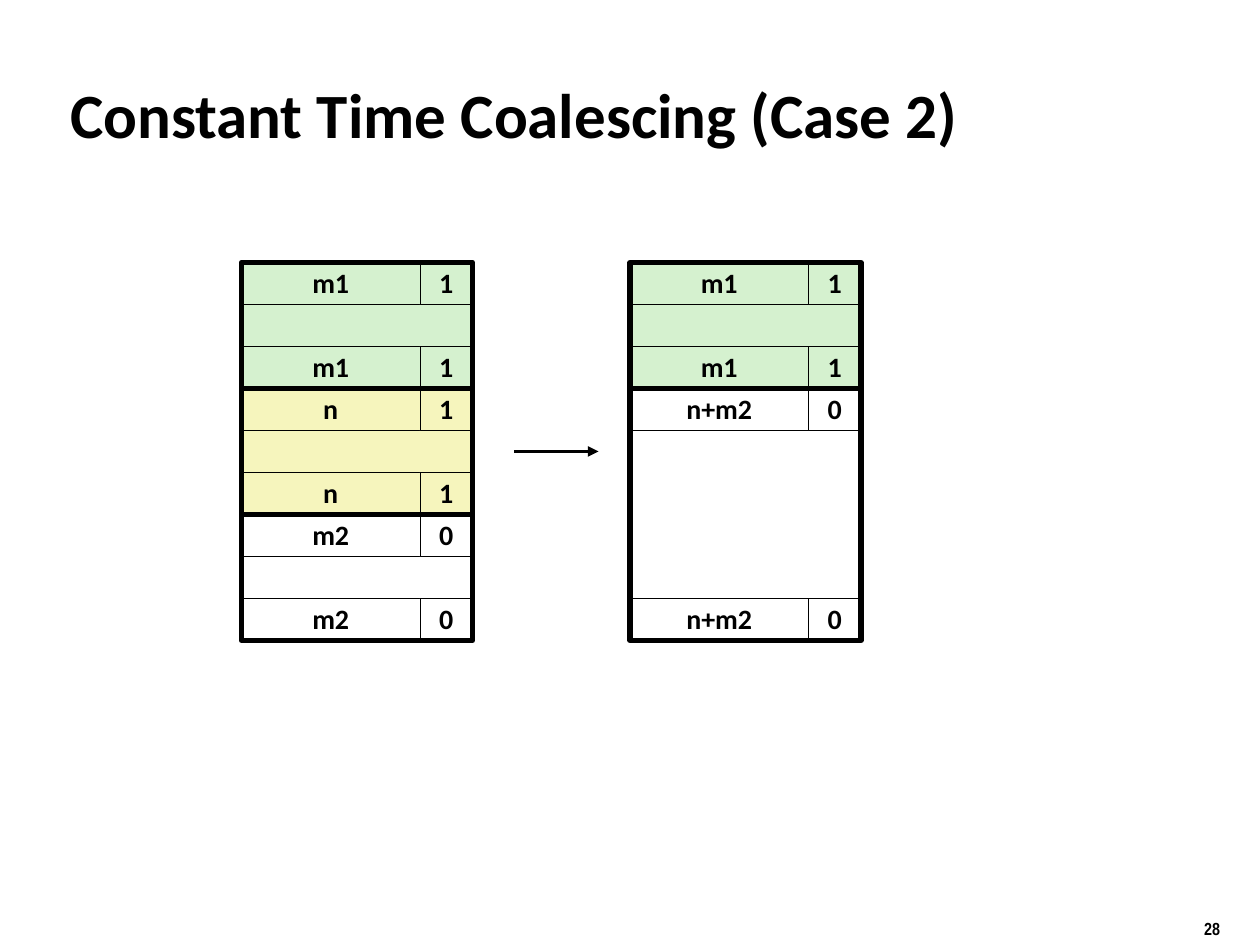
from dataclasses import dataclass

from lxml.etree import SubElement
from pptx import Presentation
from pptx.dml.color import RGBColor
from pptx.enum.shapes import MSO_CONNECTOR as Connector, MSO_SHAPE as Shape
from pptx.enum.text import MSO_ANCHOR as Anchor, PP_ALIGN as Align
from pptx.oxml.ns import qn
from pptx.util import Emu, Pt

EMU_PER_PX = 7620
ROW, LABEL_WIDTH, FLAG_WIDTH = 40, 170, 50
BLOCK_WIDTH = LABEL_WIDTH + FLAG_WIDTH + 0
BLACK, WHITE, GREEN, YELLOW = "000000", "FFFFFF", "D5F1CF", "F6F5BD"
TITLE_FONT = {"name": "Calibri", "size": Pt(36), "bold": True}
CELL_FONT = {"name": "Calibri", "size": Pt(16), "bold": True}
NUMBER_FONT = {"name": "Arial Narrow", "size": Pt(10), "bold": True}


@dataclass(frozen=True)
class Area:
    """A rectangle in px."""
    left: int
    top: int
    width: int
    height: int


@dataclass(frozen=True)
class Block:
    """A memory block with a header, a body and a footer."""
    label: str
    flag: str
    fill: str
    body_rows: int = 1


def px(length: int) -> Emu:
    """Turn px into EMU."""
    return Emu(length * EMU_PER_PX)


def place(area: Area) -> tuple[Emu, ...]:
    """Give the position and size of an area in EMU."""
    return tuple(px(n) for n in (area.left, area.top, area.width, area.height))


def color(value: str) -> RGBColor:
    """Read a hex colour."""
    return RGBColor.from_string(value)


def write(box, text: str, font: dict, frame_format: dict, para_format: dict) -> None:
    """Put one formatted span of text in a box."""
    frame = box.text_frame
    para = frame.paragraphs[0]
    span = para.add_run()
    span.text = text
    span.font.color.rgb = color(BLACK)
    for target, values in ((frame, frame_format), (para, para_format), (span.font, font)):
        for name, value in values.items():
            setattr(target, name, value)


def add_box(page, area: Area, fill: str | None, line_width: float):
    """Draw a rectangle with a black line."""
    box = page.shapes.add_shape(Shape.RECTANGLE, *place(area))
    box.shadow.inherit = False
    if fill is None:
        box.fill.background()
    else:
        box.fill.solid()
        box.fill.fore_color.rgb = color(fill)
    box.line.color.rgb = color(BLACK)
    box.line.width = Pt(line_width)
    return box


def add_cell(page, area: Area, fill: str, text: str) -> None:
    """Draw a thin-lined cell with centred text."""
    write(add_box(page, area, fill, 0.25), text, CELL_FONT,
          {"word_wrap": False, "vertical_anchor": Anchor.MIDDLE},
          {"alignment": Align.CENTER, "line_spacing": 0.98})


def add_block(page, block: Block, left: int, top: int) -> int:
    """Draw a block and return its bottom edge."""
    width = LABEL_WIDTH + FLAG_WIDTH
    body_height = block.body_rows * ROW
    footer_top = top + ROW + body_height
    add_box(page, Area(left, top + ROW, width, body_height), block.fill, 0.25)
    for row_top in (top, footer_top):
        add_cell(page, Area(left, row_top, LABEL_WIDTH, ROW), block.fill, block.label)
        add_cell(page, Area(left + LABEL_WIDTH, row_top, FLAG_WIDTH, ROW), block.fill, block.flag)
    bottom = footer_top + ROW
    add_box(page, Area(left, top, width, bottom - top), None, 3)
    return bottom


def add_heap(page, blocks: list[Block], left: int, top: int) -> None:
    """Stack blocks from the top down."""
    for block in blocks:
        top = add_block(page, block, left, top)


def add_arrow(page, left: int, right: int, top: int) -> None:
    """Draw an arrow pointing right."""
    arrow = page.shapes.add_connector(Connector.STRAIGHT, px(left), px(top), px(right), px(top))
    arrow.line.color.rgb = color(BLACK)
    arrow.line.width = Pt(2)
    SubElement(arrow.line._get_or_add_ln(), qn("a:tailEnd"), type="triangle")
    SubElement(arrow._element.spPr, qn("a:effectLst"))


def add_text(page, area: Area, text: str, font: dict, anchor: Anchor) -> None:
    """Add a left-aligned text box."""
    write(page.shapes.add_textbox(*place(area)), text, font,
          {"word_wrap": True, "vertical_anchor": anchor}, {"alignment": Align.LEFT})


def main() -> None:
    """Build and save the slide."""
    deck = Presentation()
    deck.slide_width, deck.slide_height = px(1200), px(900)
    page = deck.slides.add_slide(deck.slide_layouts[6])
    add_text(page, Area(1135, 868, 89, 31), "28", NUMBER_FONT, Anchor.TOP)
    add_text(page, Area(55, 70, 1090, 76), "Constant Time Coalescing (Case 2)",
             TITLE_FONT, Anchor.MIDDLE)
    allocated = Block("m1", "1", GREEN)
    before = [allocated, Block("n", "1", YELLOW), Block("m2", "0", WHITE)]
    after = [allocated, Block("n+m2", "0", WHITE, body_rows=4)]
    add_heap(page, before, 230, 250)
    add_heap(page, after, 600, 250)
    add_arrow(page, 490, 570, 430)
    deck.save("out.pptx")


if __name__ == "__main__":
    main()
